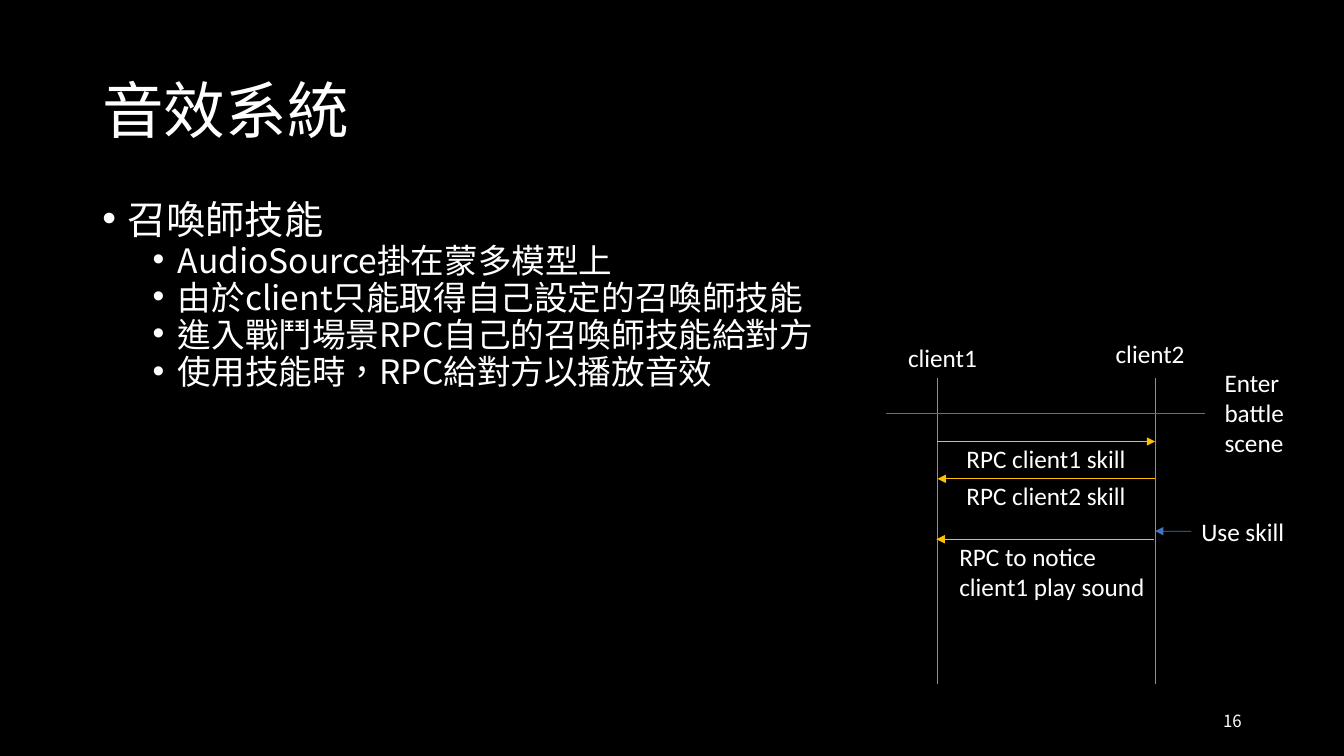
from dataclasses import dataclass

import pptx
import pptx.dml.color
import pptx.enum.shapes
import pptx.enum.text
import pptx.oxml
import pptx.oxml.ns
import pptx.util
from pptx.util import Pt

RGBColor = pptx.dml.color.RGBColor
Align = pptx.enum.text.PP_ALIGN
Anchor = pptx.enum.text.MSO_ANCHOR
AutoSize = pptx.enum.text.MSO_AUTO_SIZE

BLACK = RGBColor(0x00, 0x00, 0x00)
WHITE = RGBColor(0xFF, 0xFF, 0xFF)
GREEN = RGBColor(0x70, 0xAD, 0x47)
BLUE = RGBColor(0x44, 0x72, 0xC4)
GOLD = RGBColor(0xFF, 0xC0, 0x00)

CJK_FONT = "Noto Sans CJK SC"
LABEL_FONT = "Calibri"

CLIENT1_X, CLIENT2_X = 669.6, 825.1
LIFELINE_TOP, LIFELINE_BOTTOM = 270, 488.9
LINE_WIDTH = 0.5


@dataclass(frozen=True)
class Label:
    text: str
    left: float
    top: float
    width: float
    height: float = 29


@dataclass(frozen=True)
class Stroke:
    x1: float
    y1: float
    x2: float
    y2: float
    color: RGBColor
    arrow: bool = False


@dataclass(frozen=True)
class Level:
    size: float
    margin: float
    space_before: float


TOPIC = Level(28, 18, 10)
DETAIL = Level(24, 54, 5)
HANGING = -18

BULLETS = [
    (TOPIC, "召喚師技能"),
    (DETAIL, "AudioSource掛在蒙多模型上"),
    (DETAIL, "由於client只能取得自己設定的召喚師技能"),
    (DETAIL, "進入戰鬥場景RPC自己的召喚師技能給對方"),
    (DETAIL, "使用技能時，RPC給對方以播放音效"),
]

LABELS = [
    Label("client1", 641.5, 241.2, 70.6),
    Label("client2", 789.8, 238.3, 70.6),
    Label("Enter battle scene", 867.6, 258.5, 95.8, 72.7),
    Label("RPC client1 skill", 683.3, 313.2, 151.2),
    Label("RPC client2 skill", 683.3, 339.8, 151.2),
    Label("RPC to notice client1 play sound", 678.2, 383, 151.2, 50.9),
]
USE_SKILL = Label("Use skill", 851, 365, 95.8)

STROKES = [
    *(Stroke(x, LIFELINE_TOP, x, LIFELINE_BOTTOM, GREEN) for x in (CLIENT1_X, CLIENT2_X)),
    Stroke(632.9, 295.2, 860.4, 295.2, BLUE),
    Stroke(CLIENT1_X, 315.4, CLIENT2_X, 315.4, GOLD, True),
    Stroke(CLIENT2_X, 342, CLIENT1_X, 342, GOLD, True),
    Stroke(824.4, 385.2, 668.9, 385.2, GOLD, True),
]
USE_SKILL_ARROW = Stroke(849.6, 379.4, CLIENT2_X, 379.4, BLUE, True)


def add_box(slide, left: float, top: float, width: float, height: float, **frame_format):
    box = slide.shapes.add_textbox(Pt(left), Pt(top), Pt(width), Pt(height))
    for attribute, value in {"word_wrap": True, **frame_format}.items():
        setattr(box.text_frame, attribute, value)
    return box


def write(paragraph, text: str, size: float, font_name: str) -> None:
    run = paragraph.add_run()
    run.text = text
    for attribute, value in {"size": Pt(size), "name": font_name}.items():
        setattr(run.font, attribute, value)
    run.font.color.rgb = WHITE
    if font_name == CJK_FONT:
        properties = run.font._element
        properties.set("lang", "zh-TW")
        east_asian = pptx.oxml.parse_xml(
            f'<a:ea {pptx.oxml.ns.nsdecls("a")} typeface="{font_name}"/>')
        properties.find(pptx.oxml.ns.qn("a:latin")).addnext(east_asian)


def add_bullet(paragraph, level: Level) -> None:
    properties = paragraph._p.get_or_add_pPr()
    properties.set("marL", str(Pt(level.margin)))
    properties.set("indent", str(Pt(HANGING)))
    for xml in ('<a:buFont {} typeface="Arial"/>', '<a:buChar {} char="•"/>'):
        properties.append(pptx.oxml.parse_xml(xml.format(pptx.oxml.ns.nsdecls("a"))))


def add_label(slide, label: Label):
    box = add_box(slide, label.left, label.top, label.width, label.height,
                  auto_size=AutoSize.SHAPE_TO_FIT_TEXT)
    write(box.text_frame.paragraphs[0], label.text, 18, LABEL_FONT)
    return box


def add_stroke(slide, stroke: Stroke):
    connector = slide.shapes.add_connector(
        pptx.enum.shapes.MSO_CONNECTOR.STRAIGHT,
        Pt(stroke.x1), Pt(stroke.y1), Pt(stroke.x2), Pt(stroke.y2))
    connector.line.color.rgb = stroke.color
    connector.line.width = Pt(LINE_WIDTH)
    namespace = pptx.oxml.ns.nsdecls("a")
    if stroke.arrow:
        connector.line._get_or_add_ln().append(
            pptx.oxml.parse_xml(f'<a:tailEnd {namespace} type="triangle"/>'))
    connector._element.spPr.append(pptx.oxml.parse_xml(f"<a:effectLst {namespace}/>"))
    return connector


def add_title_and_number(slide) -> None:
    title = add_box(slide, 66, 28.8, 828, 104.4, vertical_anchor=Anchor.MIDDLE)
    heading = title.text_frame.paragraphs[0]
    heading.line_spacing = 0.9
    write(heading, "音效系統", 44, CJK_FONT)

    number = add_box(slide, 678, 500.4, 216, 28.8, vertical_anchor=Anchor.MIDDLE)
    page = number.text_frame.paragraphs[0]
    page.alignment = Align.RIGHT
    write(page, "16", 12, CJK_FONT)


def add_bullets(slide) -> None:
    frame = add_box(slide, 66, 144, 828, 342.6).text_frame
    for index, (level, text) in enumerate(BULLETS):
        paragraph = frame.add_paragraph() if index else frame.paragraphs[0]
        paragraph.level = int(level is DETAIL)
        paragraph.line_spacing = 0.75
        paragraph.space_before = Pt(level.space_before)
        add_bullet(paragraph, level)
        write(paragraph, text, level.size, CJK_FONT)


def add_sequence_diagram(slide) -> None:
    for stroke in STROKES:
        add_stroke(slide, stroke)
    for label in LABELS:
        add_label(slide, label)
    use_skill = add_label(slide, USE_SKILL)
    add_stroke(slide, USE_SKILL_ARROW).begin_connect(use_skill, 1)


def main() -> None:
    deck = pptx.Presentation()
    deck.slide_width, deck.slide_height = Pt(960), Pt(540)
    slide = deck.slides.add_slide(deck.slide_layouts[6])
    slide.background.fill.solid()
    slide.background.fill.fore_color.rgb = BLACK
    add_title_and_number(slide)
    add_bullets(slide)
    add_sequence_diagram(slide)
    deck.save("out.pptx")


if __name__ == "__main__":
    main()
